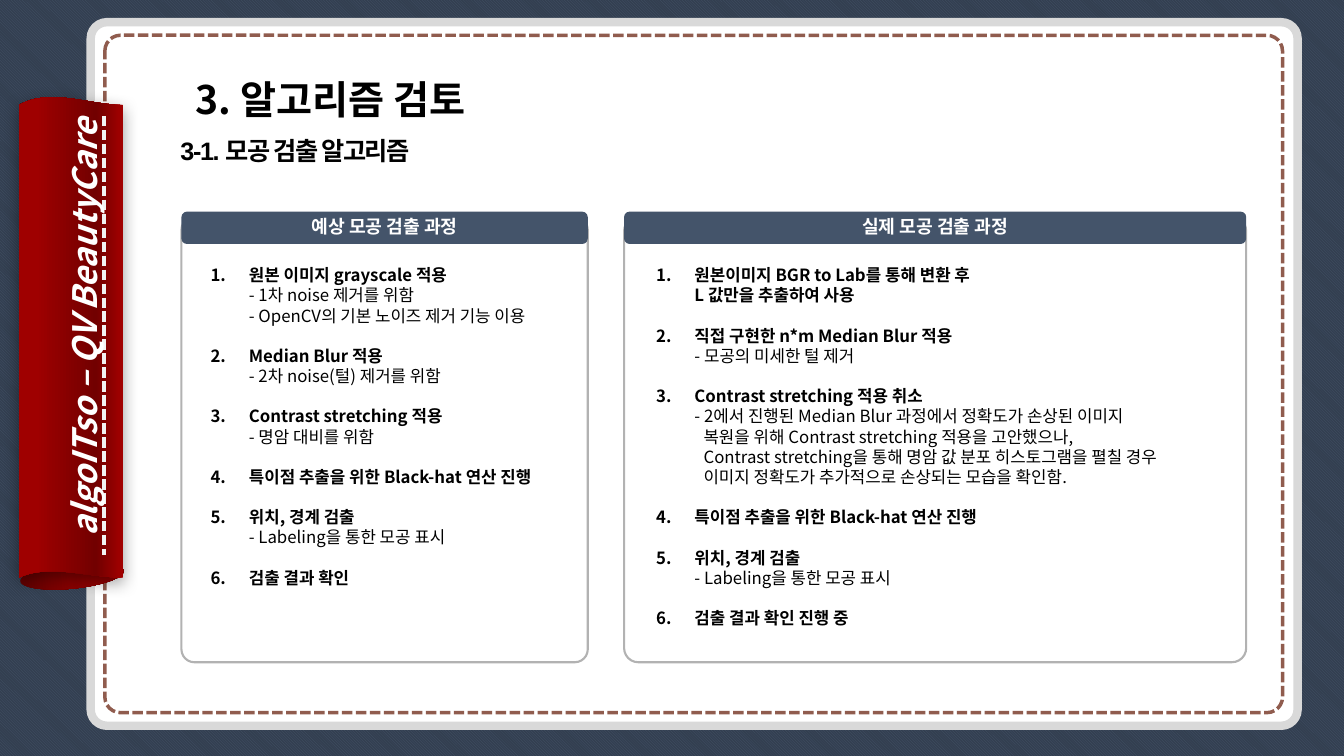
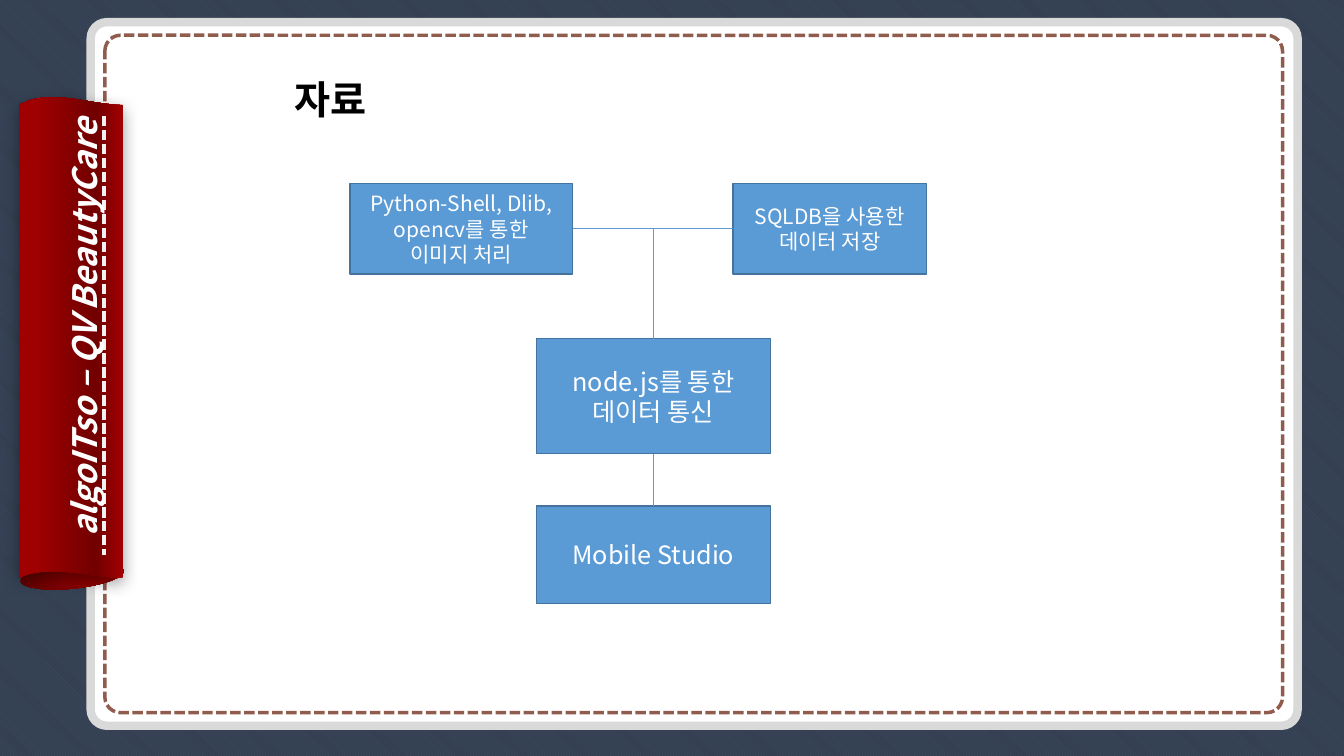
from lxml import etree
from pptx import Presentation
from pptx import util as u
from pptx.dml import color
from pptx.enum import dml, shapes, text
from pptx.oxml import ns

SCALE = 9144
SANS = "Noto Sans CJK KR"
COLORS = {
    "navy": "44546A", "night": "333F50", "white": "FFFFFF", "black": "000000",
    "frame": "D9D9D9", "stitch": "905C4E", "thread": "F2F2F2", "outline": "B2B2B2",
    "box": "5B9BD5", "box_edge": "43739E",
}
RIBBON_STOPS = [(0, "A20000"), (26, "720000"), (84, "9F0000")]
CURL_STOPS = [(0, "600000"), (50, "890000"), (100, "A20000")]
PROJECT = "algoITso – QV BeautyCare"

EXPECTED = [
    ("원본 이미지 grayscale 적용", ["- 1차 noise 제거를 위함", "- OpenCV의 기본 노이즈 제거 기능 이용"]),
    ("Median Blur 적용", ["- 2차 noise(털) 제거를 위함"]),
    ("Contrast stretching 적용", ["- 명암 대비를 위함"]),
    ("특이점 추출을 위한 Black-hat 연산 진행", []),
    ("위치, 경계 검출", ["- Labeling을 통한 모공 표시"]),
    ("검출 결과 확인", []),
]
ACTUAL = [
    ("원본이미지 BGR to Lab를 통해 변환 후\vL 값만을 추출하여 사용", []),
    ("직접 구현한 n*m Median Blur 적용", ["- 모공의 미세한 털 제거"]),
    ("Contrast stretching 적용 취소", [
        "- 2에서 진행된 Median Blur 과정에서 정확도가 손상된 이미지\v"
        "복원을 위해 Contrast stretching 적용을 고안했으나,\v"
        "Contrast stretching을 통해 명암 값 분포 히스토그램을 펼칠 경우\v"
        "이미지 정확도가 추가적으로 손상되는 모습을 확인함."]),
    ("특이점 추출을 위한 Black-hat 연산 진행", []),
    ("위치, 경계 검출", ["- Labeling을 통한 모공 표시"]),
    ("검출 결과 확인 진행 중", []),
]


def px(length):
    return u.Emu(round(length * SCALE))


def rgb(name):
    return color.RGBColor.from_string(COLORS[name])


def sub(parent, tag, **attributes):
    return etree.SubElement(parent, ns.qn(tag), {k: str(v) for k, v in attributes.items()})


def style(paragraph, size, ink, bold=False, italic=False, face=SANS):
    font = paragraph.font
    font.size, font.bold, font.italic, font.name = u.Pt(size), bold, italic, face
    font.color.rgb = rgb(ink)
    properties = paragraph._p.pPr.find(ns.qn("a:defRPr"))
    sub(properties, "a:ea", typeface=SANS)
    return properties


def set_line(line, ink, width, dash=None):
    line.color.rgb = rgb(ink)
    line.width = u.Pt(width)
    if dash:
        line.dash_style = dash


def add_box(slide, kind, box, fill=None, edge=None, corner=None):
    shape = slide.shapes.add_shape(kind, *map(px, box))
    shape.shadow.inherit = False
    if corner is not None:
        shape.adjustments[0] = corner
    if fill:
        shape.fill.solid()
        shape.fill.fore_color.rgb = rgb(fill)
    else:
        shape.fill.background()
    if edge:
        set_line(shape.line, *edge)
    else:
        shape.line.fill.background()
    return shape


def add_text(slide, box):
    area = slide.shapes.add_textbox(*map(px, box))
    area.text_frame.word_wrap = True
    area.text_frame.auto_size = text.MSO_AUTO_SIZE.SHAPE_TO_FIT_TEXT
    return area


def add_line(slide, start, end, *look):
    line = slide.shapes.add_connector(shapes.MSO_CONNECTOR.STRAIGHT, *map(px, start + end))
    set_line(line.line, *look)
    sub(line._element.spPr, "a:effectLst")
    return line


def paint_gradient(shape, stops, angle):
    shape.fill.gradient()
    shape.fill.gradient_angle = angle
    stop_list = shape._element.spPr.find(".//" + ns.qn("a:gsLst"))
    for stop in list(stop_list):
        stop_list.remove(stop)
    for position, ink in stops:
        sub(sub(stop_list, "a:gs", pos=position * 1000), "a:srgbClr", val=ink)
    shape.line.fill.background()


def bezier(p0, p1, p2, p3, steps=24):
    for step in range(steps + 1):
        t = step / steps
        yield tuple(px((1 - t) ** 3 * a + 3 * (1 - t) ** 2 * t * b + 3 * (1 - t) * t * t * c + t ** 3 * d)
                    for a, b, c, d in zip(p0, p1, p2, p3))


def draw_ribbon(slide, left, top, width, height):
    right, bottom = left + width, top + height
    curl = add_box(slide, shapes.MSO_SHAPE.OVAL, (left + 1, bottom - 14, width, 25))
    paint_gradient(curl, CURL_STOPS, 0)
    curl.rotation = 354.3

    upper = list(bezier((left, top), (left + 31, top - 17), (left + 69, top), (right, top)))
    lower = list(bezier((right, bottom), (left + 69, bottom), (left + 29, bottom - 14), (left, bottom)))
    builder = slide.shapes.build_freeform(*upper[0])
    builder.add_line_segments(upper[1:] + lower)
    band = builder.convert_to_shape()
    band.shadow.inherit = False
    paint_gradient(band, RIBBON_STOPS, 180)
    effects = band._element.spPr.find(ns.qn("a:effectLst"))
    shadow = sub(effects, "a:outerShdw", blurRad=u.Pt(12), dist=u.Pt(4), dir=5400000, rotWithShape=0)
    sub(sub(shadow, "a:srgbClr", val=COLORS["black"]), "a:alpha", val=40000)
    add_line(slide, (left + 84, top + 11), (left + 84, bottom - 22),
             "thread", 2.5, dml.MSO_LINE.SQUARE_DOT)


def draw_frame(slide, title):
    fill = slide.background.fill
    fill.patterned()
    fill.pattern = dml.MSO_PATTERN.DARK_DOWNWARD_DIAGONAL
    fill.fore_color.rgb = rgb("navy")
    fill.back_color.rgb = rgb("night")
    rounded = shapes.MSO_SHAPE.ROUNDED_RECTANGLE
    add_box(slide, rounded, (90, 22, 1197, 698), "white", ("frame", 6), 0.023)
    add_box(slide, rounded, (104, 35, 1168, 672), None,
            ("stitch", 2.5, dml.MSO_LINE.SQUARE_DOT), 0.023)
    draw_ribbon(slide, 19, 104, 103, 469)

    heading = add_text(slide, (42, 70, 572, 57)).text_frame.paragraphs[0]
    heading.text = title
    heading.alignment = text.PP_ALIGN.CENTER
    style(heading, 28, "black", bold=True)

    label = add_text(slide, (-169, 272, 478, 63))
    label.rotation = 270
    project = label.text_frame.paragraphs[0]
    project.text = PROJECT
    project.line_spacing = 1.5
    style(project, 24, "white", bold=True, italic=True)


def draw_steps(slide, box, steps):
    frame = add_text(slide, box).text_frame
    for number, (step, details) in enumerate(steps, 1):
        for row, words in enumerate([step] + details):
            first = number == 1 and row == 0
            paragraph = frame.paragraphs[0] if first else frame.add_paragraph()
            paragraph.text = words
            if row == 0 and not first:
                paragraph.space_before = u.Pt(14.4)
            style(paragraph, 12, "black", bold=row == 0)
            margin, hang = (47, 9) if row else (38, 38)
            properties = paragraph._p.pPr
            properties.set("marL", str(px(margin)))
            properties.set("indent", str(px(-hang)))
            if row == 0:
                bullet = etree.Element(ns.qn("a:buAutoNum"), type="arabicPeriod", startAt=str(number))
                properties.find(ns.qn("a:defRPr")).addprevious(bullet)


def draw_panel(slide, box, title, steps, inset):
    left, top, width, height = box
    rounded = shapes.MSO_SHAPE.ROUNDED_RECTANGLE
    add_box(slide, rounded, (left, top + 5, width, height - 5), None, ("outline", 1.5), 0.032)
    bar = add_box(slide, rounded, (left, top, width, 32), "navy", corner=0.167)
    bar.text_frame.word_wrap = False
    caption = bar.text_frame.paragraphs[0]
    caption.text = title
    caption.alignment = text.PP_ALIGN.CENTER
    caption.line_spacing = 0.9
    style(caption, 13, "white", bold=True, face="Arial")
    draw_steps(slide, (left + inset, top + 48, width - 2 * inset, height - 58), steps)


def algorithm_slide(slide):
    draw_frame(slide, "3. 알고리즘 검토")
    area = add_text(slide, (179, 134, 1068, 30)).text_frame
    area.margin_left = area.margin_right = area.margin_top = area.margin_bottom = 0
    subtitle = area.paragraphs[0]
    subtitle.text = "3-1. 모공 검출 알고리즘"
    subtitle.space_before = u.Pt(10)
    style(subtitle, 18, "black", bold=True, face="Arial").set("spc", "-100")
    draw_panel(slide, (180, 210, 403, 447), "예상 모공 검출 과정", EXPECTED, 19)
    draw_panel(slide, (619, 210, 617, 447), "실제 모공 검출 과정", ACTUAL, 22)


def draw_component(slide, box, lines, size):
    component = add_box(slide, shapes.MSO_SHAPE.RECTANGLE, box, "box", ("box_edge", 1))
    frame = component.text_frame
    frame.word_wrap = True
    for index, words in enumerate(lines):
        paragraph = frame.add_paragraph() if index else frame.paragraphs[0]
        paragraph.text = words
        paragraph.alignment = text.PP_ALIGN.CENTER
        style(paragraph, size, "white")
    return component


def draw_architecture(slide, left, top):
    app = draw_component(slide, (left + 185, top + 320, 232, 97), ["Mobile Studio"], 18)
    server = draw_component(slide, (left + 185, top + 154, 232, 114), ["node.js를 통한", "데이터 통신"], 18)
    imaging = draw_component(slide, (left, top, 221, 90),
                             ["Python-Shell, Dlib, opencv를 통한", "이미지 처리"], 15)
    storage = draw_component(slide, (left + 380, top, 192, 90), ["SQLDB을 사용한", "데이터 저장"], 15)
    junction = (left + 301, top + 45)
    links = [(imaging, 3, storage, 1), (None, None, server, 0), (server, 2, app, 0)]
    for source, exit_side, target, entry_side in links:
        link = add_line(slide, junction, junction, "box", 0.5)
        if source:
            link.begin_connect(source, exit_side)
        link.end_connect(target, entry_side)


def materials_slide(slide):
    draw_frame(slide, "자료")
    draw_architecture(slide, 347, 182)


def main():
    deck = Presentation()
    deck.slide_width, deck.slide_height = px(1333), px(750)
    for build in (algorithm_slide, materials_slide):
        build(deck.slides.add_slide(deck.slide_layouts[6]))
    deck.save("out.pptx")


if __name__ == "__main__":
    main()
